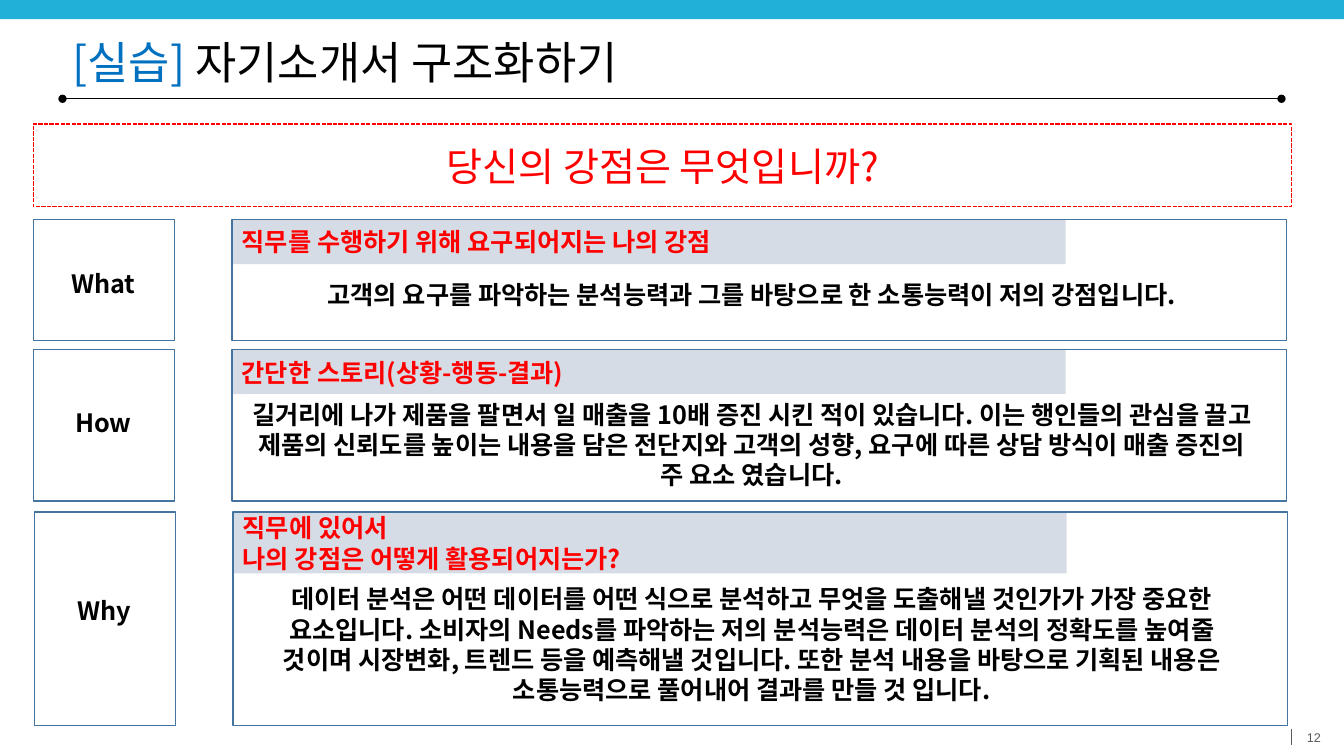
"""Build a slide on structuring a self-introduction as What, How and Why."""
from lxml import etree
from pptx import Presentation, util as u
from pptx.dml.color import RGBColor
from pptx.enum import dml, shapes, text as t
from pptx.oxml import ns

SANS = "Noto Sans CJK KR"
RED, BLUE, GRAY, BAND = "FF0000", "43739E", "595959", "D6DCE5"
LEFT, CENTER, RIGHT = t.PP_ALIGN.LEFT, t.PP_ALIGN.CENTER, t.PP_ALIGN.RIGHT


def tint(code):
    """Turn a hex string into a colour."""
    return RGBColor.from_string(code)


def write(box, words, size=18, color="000000", bold=True, align=LEFT, font=SANS,
          top=False, inset=None, wrap=True, space=None, lead=None):
    """Write lines into a shape, with an optional coloured lead-in."""
    frame = box.text_frame
    frame.word_wrap = wrap
    frame.vertical_anchor = t.MSO_ANCHOR.TOP if top else t.MSO_ANCHOR.MIDDLE
    if inset is not None:
        frame.margin_left = frame.margin_right = u.Inches(inset)
        frame.margin_top = frame.margin_bottom = u.Inches(inset)
    for spot, line in enumerate(words.split("\n")):
        para = frame.add_paragraph() if spot else frame.paragraphs[0]
        para.alignment = align
        para.line_spacing = space
        for part, hue in ([lead] if lead else []) + [(line, color)]:
            run = para.add_run()
            run.text = part
            run.font.size, run.font.bold = u.Pt(size), bold
            run.font.color.rgb = tint(hue)
            run.font.name = font
            etree.SubElement(run.font._element, ns.qn("a:ea"), typeface=font)


class Page:
    """Hold the slide and a grid of tenth-inch cells."""

    def __init__(self, deck):
        """Add a blank slide to the deck."""
        self.items = deck.slides.add_slide(deck.slide_layouts[6]).shapes

    def cells(self, *spans):
        """Convert grid cells to lengths."""
        return [u.Inches(span / 10) for span in spans]

    def rect(self, x, y, w, h, fill=None, line=None, dash=None):
        """Add a rectangle."""
        box = self.items.add_shape(shapes.MSO_SHAPE.RECTANGLE, *self.cells(x, y, w, h))
        box.shadow.inherit = False
        if fill:
            box.fill.solid()
            box.fill.fore_color.rgb = tint(fill)
        else:
            box.fill.background()
        if line:
            box.line.color.rgb = tint(line)
            box.line.width = u.Pt(1)
            box.line.dash_style = dash
        else:
            box.line.fill.background()
        return box

    def label(self, x, y, w, h, words, **style):
        """Add a text box."""
        write(self.items.add_textbox(*self.cells(x, y, w, h)), words, **style)

    def rule(self, x, y, end, foot, color, dots=False):
        """Add a thin line, with round ends if asked."""
        line = self.items.add_connector(shapes.MSO_CONNECTOR.STRAIGHT,
                                        *self.cells(x, y, end, foot))
        line.line.color.rgb = tint(color)
        line.line.width = u.Pt(0.5)
        props = line._element.spPr
        for tip in ("a:headEnd", "a:tailEnd") if dots else ():
            etree.SubElement(props.find(ns.qn("a:ln")), ns.qn(tip), type="oval")
        etree.SubElement(props, ns.qn("a:effectLst"))

    def step(self, name, y, h, band, head, body, shift, tag, gap, tall):
        """Add one row: a named frame beside a headed answer."""
        x = 23 + shift
        write(self.rect(x, y, 82.7, band, BAND), head, color=RED)
        self.rect(3.3 + shift, y, 14, h, line=BLUE)
        write(self.rect(3.6 + shift, y + tag, 13.3, 4, "FFFFFF"), name,
              align=CENTER, top=True)
        self.rect(x, y, 104.6, h, line=BLUE)
        write(self.rect(24, y + gap, 101.1, tall, "FFFFFF"), body,
              align=CENTER, top=True)


STEPS = [
    dict(name="What", y=21.8, h=12, band=4.4, shift=0, tag=4.3, gap=5.4, tall=4,
         head="직무를 수행하기 위해 요구되어지는 나의 강점",
         body="고객의 요구를 파악하는 분석능력과 그를 바탕으로 한 소통능력이 저의 강점입니다."),
    dict(name="How", y=34.7, h=15, band=4.4, shift=0, tag=5.2, gap=4.4, tall=10.1,
         head="간단한 스토리(상황-행동-결과)",
         body="길거리에 나가 제품을 팔면서 일 매출을 10배 증진 시킨 적이 있습니다. "
              "이는 행인들의 관심을 끌고 제품의 신뢰도를 높이는 내용을 담은 전단지와 "
              "고객의 성향, 요구에 따른 상담 방식이 매출 증진의 주 요소 였습니다."),
    dict(name="Why", y=50.8, h=21.2, band=6.1, shift=0.1, tag=7.8, gap=6.6, tall=13.1,
         head="직무에 있어서\n나의 강점은 어떻게 활용되어지는가?",
         body="데이터 분석은 어떤 데이터를 어떤 식으로 분석하고 무엇을 도출해낼 것인가가 "
              "가장 중요한 요소입니다. 소비자의 Needs를 파악하는 저의 분석능력은 "
              "데이터 분석의 정확도를 높여줄 것이며 시장변화, 트렌드 등을 예측해낼 "
              "것입니다. 또한 분석 내용을 바탕으로 기획된 내용은 소통능력으로 풀어내어 "
              "결과를 만들 것 입니다."),
]

deck = Presentation()
deck.slide_width, deck.slide_height = u.Inches(13.33), u.Inches(7.5)
page = Page(deck)
page.rect(0, 0, 133.3, 1.9, "21B0D8")
page.rule(6.2, 9.8, 127.1, 9.8, "000000", dots=True)
page.label(6.2, 3, 120.4, 6.8, "자기소개서 구조화하기", size=32, bold=False,
           space=0.9, lead=("[실습] ", "0070C0"))
quiz = page.rect(3.3, 12.3, 124.8, 8.2, "FFFFFF", RED, dml.MSO_LINE.SQUARE_DOT)
write(quiz, "당신의 강점은 무엇입니까?", size=28, color=RED, bold=False, align=CENTER)
for step in STEPS:
    page.step(**step)
page.rule(128.1, 72.3, 128.1, 73.9, GRAY)
page.label(129.5, 72.4, 1.5, 1.5, "12", size=9, color=GRAY, bold=False,
           align=RIGHT, font="Arial", inset=0, wrap=False)
deck.save("out.pptx")
